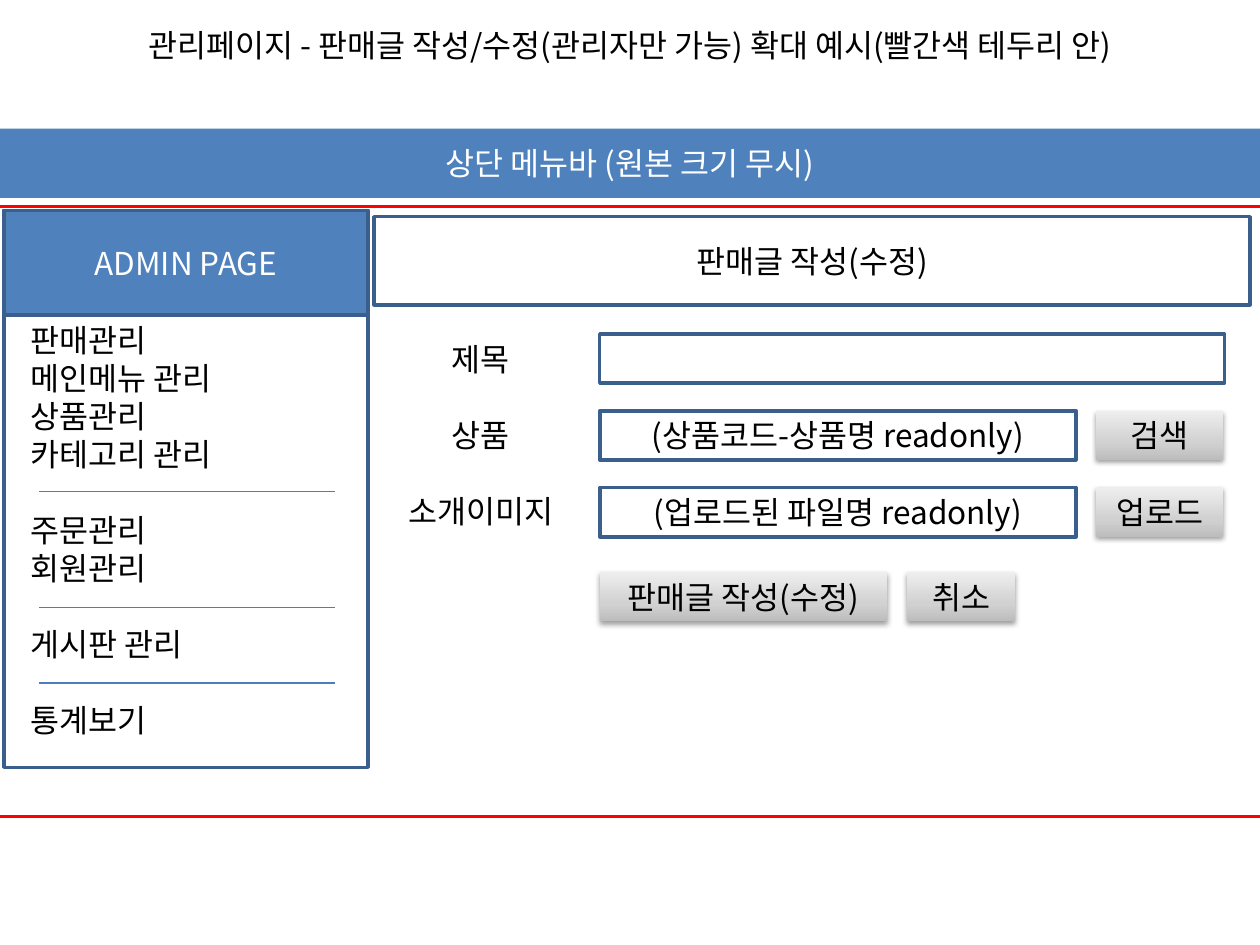
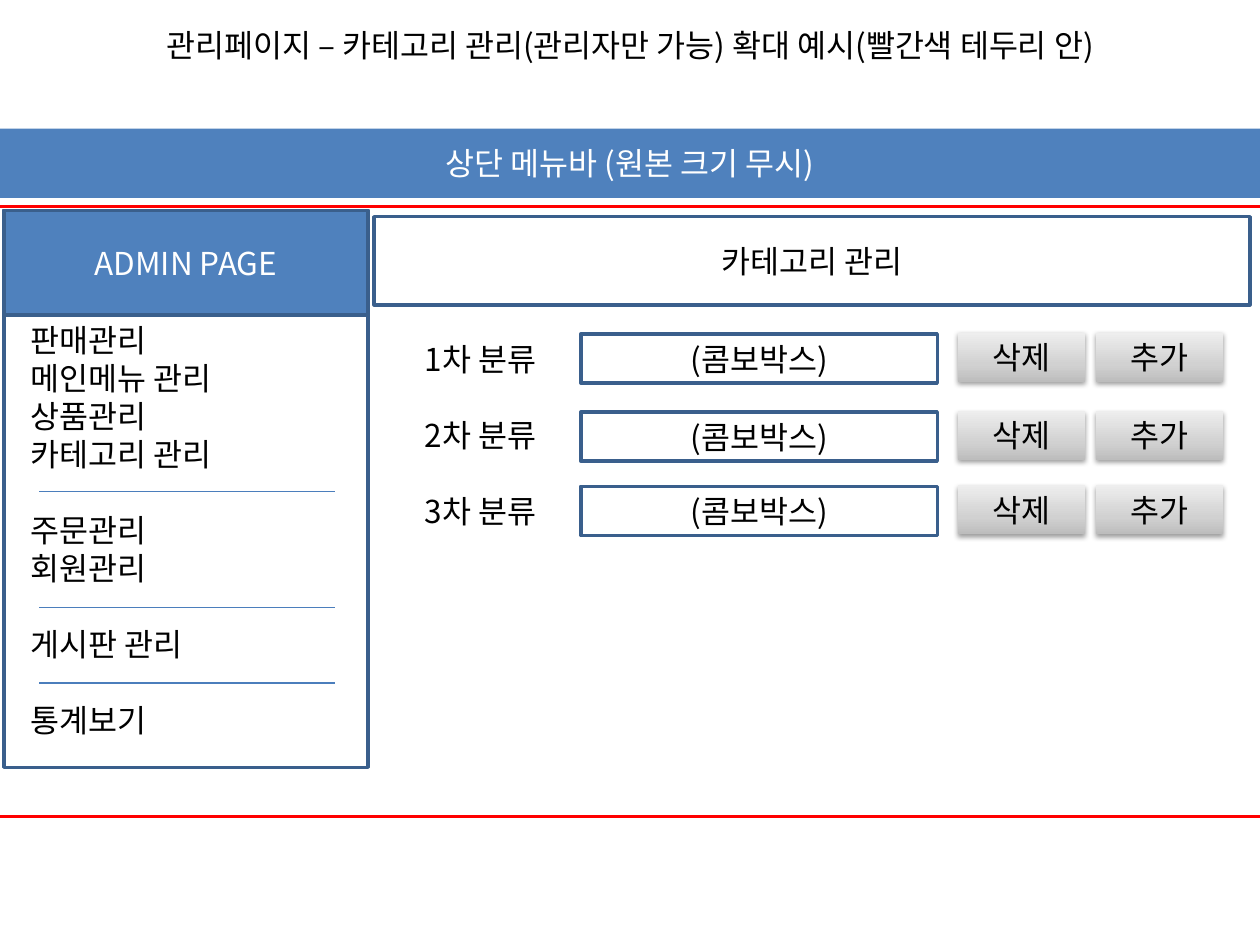
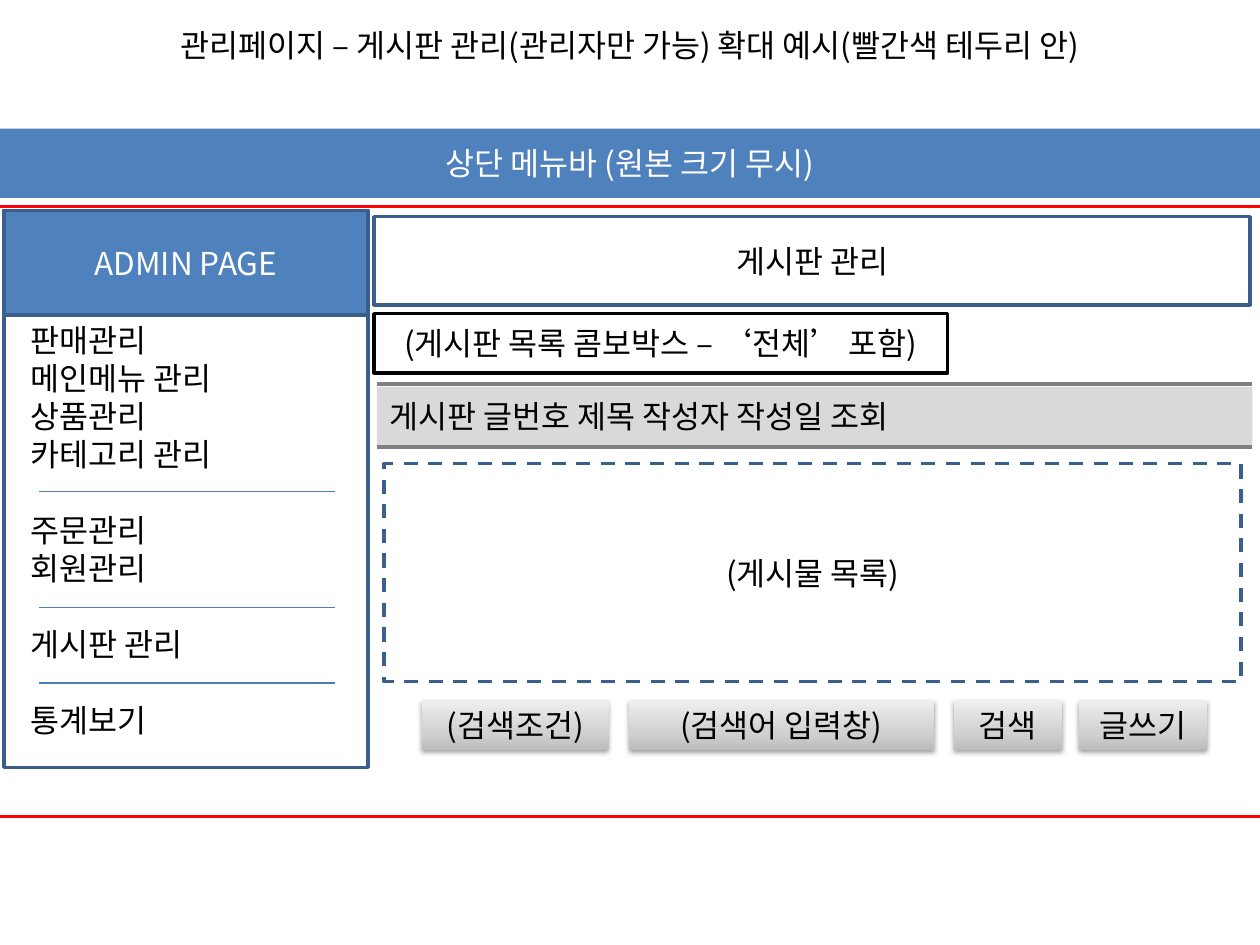
from lxml import etree
from pptx import Presentation
from pptx.dml.color import RGBColor
from pptx.enum.dml import MSO_LINE
from pptx.enum.shapes import MSO_CONNECTOR, MSO_SHAPE
from pptx.enum.text import MSO_ANCHOR, PP_ALIGN
from pptx.oxml.ns import qn
from pptx.util import Inches, Pt

FONT = "Noto Sans CJK KR"
FONT_SIZE = Pt(18)
LINE_PITCH = Pt(21.7)
BLACK = RGBColor(0x00, 0x00, 0x00)
WHITE = RGBColor(0xFF, 0xFF, 0xFF)
RED = RGBColor(0xFF, 0x00, 0x00)
BLUE = RGBColor(0x4F, 0x81, 0xBD)
DARK_BLUE = RGBColor(0x3A, 0x5F, 0x8C)
RULE_BLUE = RGBColor(0x4B, 0x7E, 0xBC)
GRAY = RGBColor(0x80, 0x80, 0x80)
LIGHT_GRAY = RGBColor(0xD9, 0xD9, 0xD9)
BUTTON_STOPS = ((0, "BDBDBD"), (35, "D1D1D1"), (100, "EEEEEE"))

RECTANGLE = MSO_SHAPE.RECTANGLE
STRAIGHT = MSO_CONNECTOR.STRAIGHT
MIDDLE = MSO_ANCHOR.MIDDLE
TOP = MSO_ANCHOR.TOP
CENTER = PP_ALIGN.CENTER
LEFT = PP_ALIGN.LEFT
JUSTIFY = PP_ALIGN.JUSTIFY
DASH = MSO_LINE.DASH

MENU_GROUPS = (
    ("판매관리", "메인메뉴 관리", "상품관리", "카테고리 관리"),
    ("주문관리", "회원관리"),
    ("게시판 관리",),
    ("통계보기",),
)
ROW_HEIGHT = 0.39
BUTTON_WIDTH = 1.01
BUTTON_LEFT = 8.7


def write(frame, groups, color=BLACK, align=CENTER, anchor=MIDDLE, inset=0.1, pitch=None):
    frame.word_wrap = True
    frame.vertical_anchor = anchor
    frame.margin_left = Inches(inset)
    lines = [(text, number > 0 and index == 0)
             for number, group in enumerate(groups)
             for index, text in enumerate(group)]
    for number, (text, starts_group) in enumerate(lines):
        para = frame.add_paragraph() if number else frame.paragraphs[0]
        para.alignment = align
        if pitch:
            para.line_spacing = pitch
        if starts_group:
            para.space_before = LINE_PITCH
        span = para.add_run()
        span.text = text
        span.font.name = FONT
        span.font.size = FONT_SIZE
        span.font.color.rgb = color
        east_asian = etree.SubElement(span.font._element, qn("a:ea"))
        east_asian.set("typeface", FONT)


class Wireframe:
    def __init__(self):
        self.deck = Presentation()
        self.deck.slide_width = Inches(10)
        self.deck.slide_height = Inches(7.5)
        self.page = None

    def text(self, left, top, width, height, groups, **style):
        box = self.page.shapes.add_textbox(
            Inches(left), Inches(top), Inches(width), Inches(height))
        write(box.text_frame, groups, anchor=TOP, pitch=LINE_PITCH, **style)

    def box(self, left, top, width, height, text="", fill=None, line=DARK_BLUE,
            dash=None, **style):
        shape = self.page.shapes.add_shape(
            RECTANGLE, Inches(left), Inches(top), Inches(width), Inches(height))
        shape.shadow.inherit = False
        if fill is None:
            shape.fill.background()
        else:
            shape.fill.solid()
            shape.fill.fore_color.rgb = fill
        if line is None:
            shape.line.fill.background()
        else:
            shape.line.color.rgb = line
            shape.line.width = Pt(2)
        if dash:
            shape.line.dash_style = dash
        if text:
            write(shape.text_frame, [[text]], **style)
        return shape

    def button(self, left, top, width, text):
        shape = self.box(left, top, width, ROW_HEIGHT, text, line=None)
        shape.fill.gradient()
        shape.fill.gradient_angle = 90
        properties = shape._element.spPr
        stops = properties.find(qn("a:gradFill")).find(qn("a:gsLst"))
        for stop in list(stops):
            stops.remove(stop)
        for position, color in BUTTON_STOPS:
            stop = etree.SubElement(stops, qn("a:gs"), pos=str(position * 1000))
            etree.SubElement(stop, qn("a:srgbClr"), val=color)
        shadow = etree.SubElement(
            properties.find(qn("a:effectLst")), qn("a:outerShdw"),
            blurRad=str(Pt(3.1)), dist=str(Pt(1.6)), dir="5400000", rotWithShape="0")
        shade = etree.SubElement(shadow, qn("a:srgbClr"), val=str(BLACK))
        etree.SubElement(shade, qn("a:alpha"), val="38000")

    def rule(self, left, right, top, color, weight):
        line = self.page.shapes.add_connector(
            STRAIGHT, Inches(left), Inches(top), Inches(right), Inches(top))
        line.line.color.rgb = color
        line.line.width = Pt(weight)
        etree.SubElement(line._element.spPr, qn("a:effectLst"))

    def labels(self, *names):
        self.text(2.95, 2.65, 1.73, 1.62, [[name] for name in names])

    def admin_page(self, title, heading):
        self.page = self.deck.slides.add_slide(self.deck.slide_layouts[6])
        self.text(0, 0.16, 10, 0.4, [[title]])
        self.box(0, 1.02, 10, 0.55, "상단 메뉴바 (원본 크기 무시)",
                 fill=BLUE, line=None, color=WHITE)
        self.box(-0.23, 1.64, 10.47, 4.84, line=RED)
        self.box(0.03, 1.67, 2.89, 0.83, "ADMIN PAGE", fill=BLUE, color=WHITE)
        self.text(0, 2.5, 3.05, 3.43, MENU_GROUPS, align=LEFT, inset=0.24)
        self.box(0.03, 1.67, 2.89, 4.42)
        for top in (3.9, 4.82, 5.42):
            self.rule(0.31, 2.66, top, RULE_BLUE, 0.75)
        self.box(2.97, 1.72, 6.95, 0.7, heading)


def add_sale_form(wireframe):
    wireframe.admin_page(
        "관리페이지 - 판매글 작성/수정(관리자만 가능) 확대 예시(빨간색 테두리 안)",
        "판매글 작성(수정)")
    wireframe.labels("제목", "상품", "소개이미지")
    wireframe.box(4.76, 2.65, 4.96, ROW_HEIGHT)
    for top, field, action in ((3.26, "(상품코드-상품명 readonly)", "검색"),
                               (3.87, "(업로드된 파일명 readonly)", "업로드")):
        wireframe.box(4.76, top, 3.78, ROW_HEIGHT, field)
        wireframe.button(BUTTON_LEFT, top, BUTTON_WIDTH, action)
    wireframe.button(4.76, 4.54, 2.28, "판매글 작성(수정)")
    wireframe.button(7.2, 4.54, 0.86, "취소")


def add_category_form(wireframe):
    wireframe.admin_page(
        "관리페이지 – 카테고리 관리(관리자만 가능) 확대 예시(빨간색 테두리 안)",
        "카테고리 관리")
    wireframe.labels("1차 분류", "2차 분류", "3차 분류")
    for top in (2.64, 3.26, 3.85):
        wireframe.box(4.61, top + 0.01, 2.83, ROW_HEIGHT, "(콤보박스)")
        wireframe.button(7.6, top, BUTTON_WIDTH, "삭제")
        wireframe.button(BUTTON_LEFT, top, BUTTON_WIDTH, "추가")


def add_board_list(wireframe):
    wireframe.admin_page(
        "관리페이지 – 게시판 관리(관리자만 가능) 확대 예시(빨간색 테두리 안)",
        "게시판 관리")
    wireframe.box(2.99, 3.07, 6.95, 0.47, "게시판 글번호 제목 작성자 작성일 조회",
                  fill=LIGHT_GRAY, line=None, align=JUSTIFY)
    for top in (3.05, 3.55):
        wireframe.rule(2.99, 9.94, top, GRAY, 2.25)
    wireframe.box(3.05, 3.68, 6.8, 1.73, "(게시물 목록)", dash=DASH)
    wireframe.box(2.97, 2.49, 4.55, 0.47, "(게시판 목록 콤보박스 – ‘전체’ 포함)", line=BLACK)
    for left, width, text in ((3.35, 1.48, "(검색조건)"), (4.99, 2.42, "(검색어 입력창)"),
                              (7.57, 0.86, "검색"), (8.56, 1.02, "글쓰기")):
        wireframe.button(left, 5.56, width, text)


def main():
    wireframe = Wireframe()
    add_sale_form(wireframe)
    add_category_form(wireframe)
    add_board_list(wireframe)
    wireframe.deck.save("out.pptx")


if __name__ == "__main__":
    main()
